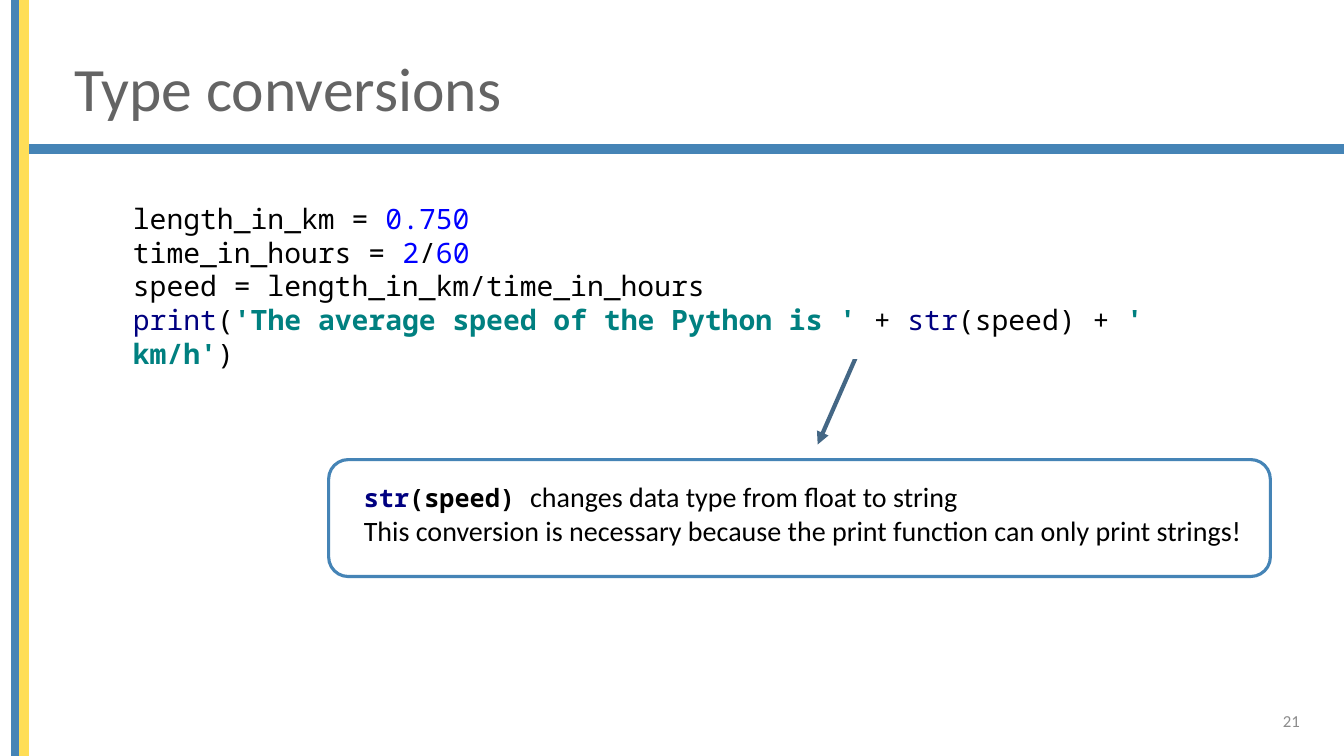
"""Build the "Type conversions" slide with its code sample and explanation."""
from lxml import etree
from pptx import Presentation
from pptx.dml.color import RGBColor
from pptx.enum.shapes import MSO_CONNECTOR, MSO_SHAPE
from pptx.enum.text import MSO_ANCHOR, PP_ALIGN
from pptx.oxml.ns import qn
from pptx.util import Pt

PX = 9144
RECTANGLE = MSO_SHAPE.RECTANGLE
ROUNDED = MSO_SHAPE.ROUNDED_RECTANGLE
STRAIGHT = MSO_CONNECTOR.STRAIGHT
MIDDLE = MSO_ANCHOR.MIDDLE
LEFT, RIGHT = PP_ALIGN.LEFT, PP_ALIGN.RIGHT
SANS, MONO = "Calibri", "Noto Sans Mono"
BLUE, YELLOW, WHITE, BLACK = "4584B6", "FFDE57", "FFFFFF", "000000"
NUMBER, BUILTIN, STRING = "0000FF", "000080", "008080"


def color(value):
    return RGBColor.from_string(value)


def write(shape, lines, font, size, align=LEFT):
    paragraph = shape.text_frame.paragraphs[0]
    paragraph.alignment = align
    paragraph.font.name = font
    paragraph.font.size = Pt(size)
    for index, line in enumerate(lines):
        if index:
            paragraph.add_line_break()
        for text, text_color, bold in line:
            run = paragraph.add_run()
            run.text = text
            run.font.name = font
            run.font.size = Pt(size)
            run.font.color.rgb = color(text_color)
            run.font.bold = bold
    return paragraph


presentation = Presentation()
presentation.slide_width = 1333 * PX
presentation.slide_height = 750 * PX
slide = presentation.slides.add_slide(presentation.slide_layouts[6])
shapes = slide.shapes

bars = [
    (20, 144, 1313, 8, BLUE),
    (12, 0, 8, 750, BLUE),
    (20, 0, 8, 750, YELLOW),
]
for left, top, width, height, bar_color in bars:
    bar = shapes.add_shape(RECTANGLE, left * PX, top * PX, width * PX, height * PX)
    bar.shadow.inherit = False
    bar.fill.solid()
    bar.fill.fore_color.rgb = color(bar_color)
    bar.line.color.rgb = color(bar_color)
    bar.line.width = Pt(1)

title = shapes.add_textbox(64 * PX, 40 * PX, 1178 * PX, 101 * PX)
title.text_frame.word_wrap = True
title.text_frame.vertical_anchor = MIDDLE
write(title, [[("Type conversions", "646464", False)]], SANS, 44).line_spacing = 0.9

note = shapes.add_group_shape()
note_box = note.shapes.add_shape(ROUNDED, 326 * PX, 456 * PX, 934 * PX, 116 * PX)
note_box.shadow.inherit = False
note_box.fill.solid()
note_box.fill.fore_color.rgb = color(WHITE)
note_box.line.color.rgb = color(BLUE)
note_box.line.width = Pt(2.25)

note_text = note.shapes.add_textbox(351 * PX, 471 * PX, 907 * PX, 85 * PX)
note_text.text_frame.word_wrap = False
write(note_text, [[("str", BUILTIN, True), ("(speed) ", BLACK, True)]], MONO, 18)
write(note_text, [
    [("changes data type from float to string ", BLACK, False)],
    [("This conversion is necessary because the print function can only print strings!",
      BLACK, False)],
], SANS, 20)

arrow = shapes.add_connector(STRAIGHT, 811 * PX, 441 * PX, 853 * PX, 345 * PX)
arrow.line.color.rgb = color("446785")
arrow.line.width = Pt(3)
etree.SubElement(arrow.line._get_or_add_ln(), qn("a:headEnd"), type="triangle")
etree.SubElement(arrow._element.spPr, qn("a:effectLst"))

page_number = shapes.add_textbox(999 * PX, 695 * PX, 300 * PX, 40 * PX)
page_number.text_frame.word_wrap = True
page_number.text_frame.vertical_anchor = MIDDLE
write(page_number, [[("21", "8C8C8C", False)]], SANS, 12, RIGHT)

code = shapes.add_shape(RECTANGLE, 122 * PX, 211 * PX, 1056 * PX, 145 * PX)
code.shadow.inherit = False
code.fill.solid()
code.fill.fore_color.rgb = color(WHITE)
code.line.fill.background()
code.text_frame.word_wrap = True
code.text_frame.vertical_anchor = MIDDLE
write(code, [
    [("length_in_km = ", BLACK, False), ("0.750", NUMBER, False)],
    [("time_in_hours = ", BLACK, False), ("2", NUMBER, False),
     ("/", BLACK, False), ("60", NUMBER, False)],
    [("speed = length_in_km/time_in_hours", BLACK, False)],
    [("print", BUILTIN, False), ("(", BLACK, False),
     ("'The average speed of the Python is ' ", STRING, True),
     ("+ ", BLACK, False), ("str", BUILTIN, False), ("(speed) + ", BLACK, False),
     ("' km/h'", STRING, True), (")", BLACK, False)],
], MONO, 20)

presentation.save("out.pptx")
